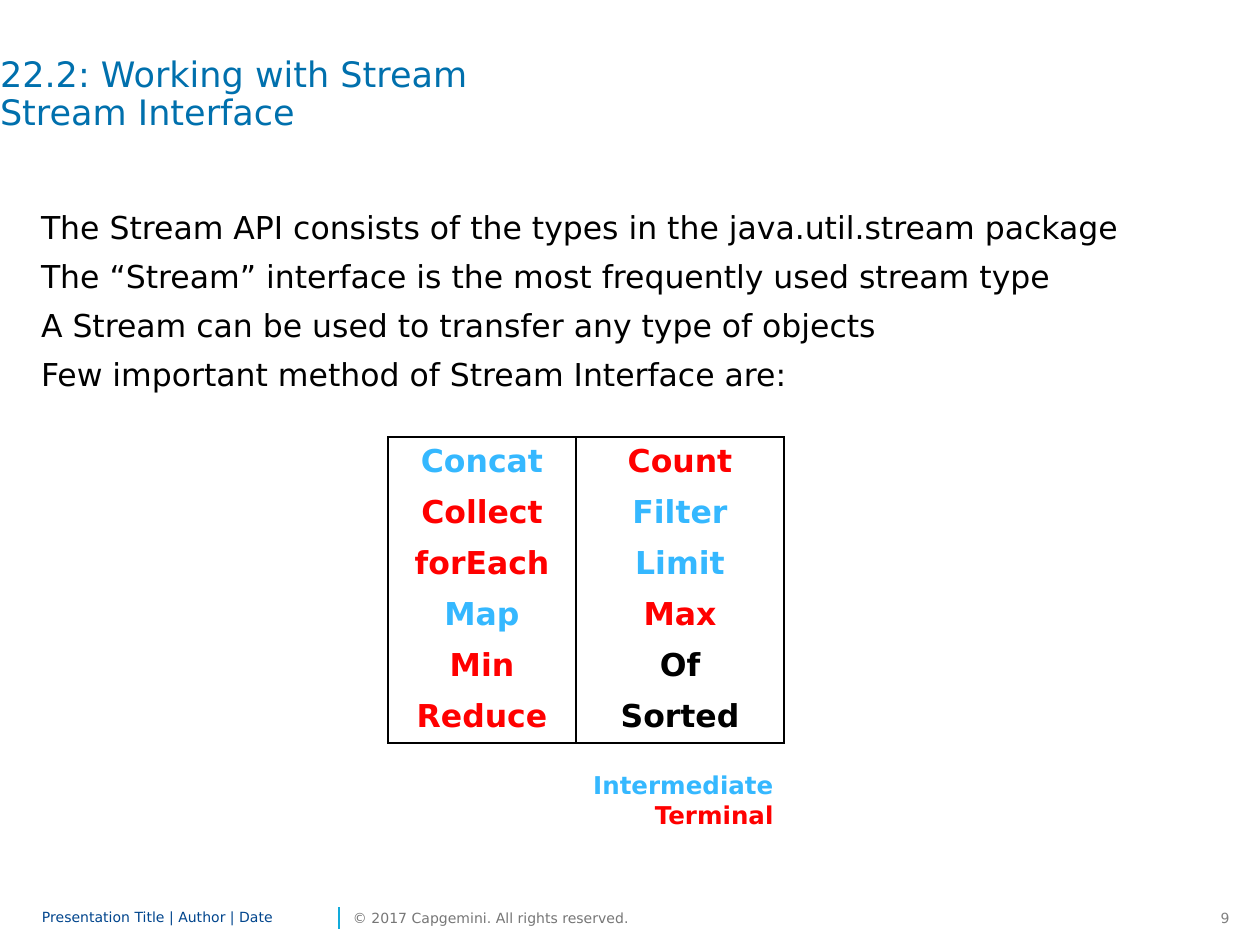
from lxml.etree import SubElement
from pptx import Presentation
from pptx.dml.color import RGBColor
from pptx.enum.shapes import MSO_CONNECTOR
from pptx.enum.text import MSO_ANCHOR, MSO_AUTO_SIZE, PP_ALIGN
from pptx.oxml.ns import qn
from pptx.util import Emu, Pt

EMU_PER_PX = 914400 / 126
FONT = "DejaVu Sans"
COLORS = {
    "title": "0070AD",
    "body": "000000",
    "intermediate": "35B8FF",
    "terminal": "FF0000",
    "footer": "00458D",
    "copyright": "767676",
    "number": "808080",
    "divider": "12ABDB",
}
BODY = [
    "The Stream API consists of the types in the java.util.stream package",
    "The “Stream” interface is the most frequently used stream type",
    "A Stream can be used to transfer any type of objects",
    "Few important method of Stream Interface are:",
]
METHODS = [
    [("Concat", "intermediate"), ("Count", "terminal")],
    [("Collect", "terminal"), ("Filter", "intermediate")],
    [("forEach", "terminal"), ("Limit", "intermediate")],
    [("Map", "intermediate"), ("Max", "terminal")],
    [("Min", "terminal"), ("Of", "body")],
    [("Reduce", "terminal"), ("Sorted", "body")],
]
LEGEND = [("Intermediate", "intermediate"), ("Terminal", "terminal")]


def px(value):
    return Emu(round(value * EMU_PER_PX))


def rgb(color):
    return RGBColor.from_string(COLORS[color])


class SlideBuilder:
    def __init__(self, slide):
        self.slide = slide

    def fill_paragraph(self, paragraph, text, size, color, bold=False,
                       align=PP_ALIGN.LEFT):
        paragraph.text = text
        paragraph.alignment = align
        for run in paragraph.runs:
            run.font.name = FONT
            run.font.size = Pt(size)
            run.font.bold = bold
            run.font.color.rgb = rgb(color)

    def text(self, left, top, width, height, lines, size, bold=False,
             align=PP_ALIGN.LEFT, anchor=MSO_ANCHOR.TOP, wrap=True, inset=False,
             grow=False, line_spacing=None, space_after=None):
        """Add a text box with one paragraph per (text, color) pair."""
        box = self.slide.shapes.add_textbox(px(left), px(top), px(width), px(height))
        frame = box.text_frame
        frame.word_wrap = wrap
        frame.vertical_anchor = anchor
        frame.auto_size = MSO_AUTO_SIZE.SHAPE_TO_FIT_TEXT if grow else MSO_AUTO_SIZE.NONE
        if not inset:
            frame.margin_left = frame.margin_right = 0
            frame.margin_top = frame.margin_bottom = 0
        for index, (text, color) in enumerate(lines):
            paragraph = frame.add_paragraph() if index else frame.paragraphs[0]
            self.fill_paragraph(paragraph, text, size, color, bold, align)
            paragraph.line_spacing = line_spacing
            paragraph.space_after = space_after

    def line(self, x1, y1, x2, y2, color, width=1):
        connector = self.slide.shapes.add_connector(
            MSO_CONNECTOR.STRAIGHT, px(x1), px(y1), px(x2), px(y2))
        connector.line.color.rgb = rgb(color)
        connector.line.width = Pt(width)
        SubElement(connector._element.spPr, qn("a:effectLst"))

    def border(self, cell, side, visible):
        """Draw or hide one side (L, R, T or B) of a cell."""
        line = SubElement(cell._tc.get_or_add_tcPr(), qn(f"a:ln{side}"), w=str(Pt(1)))
        if visible:
            fill = SubElement(line, qn("a:solidFill"))
            SubElement(fill, qn("a:srgbClr"), val=COLORS["body"])
        else:
            SubElement(line, qn("a:noFill"))

    def table(self, left, top, column_widths, row_height, rows, size):
        """Add a table with column rules and an outer frame, but no row rules."""
        frame = self.slide.shapes.add_table(
            len(rows), len(column_widths), px(left), px(top),
            px(sum(column_widths)), px(row_height * len(rows)))
        table = frame.table
        table.first_row = table.horz_banding = False
        for column, width in zip(table.columns, column_widths):
            column.width = px(width)
        for row_index, row in enumerate(rows):
            table.rows[row_index].height = px(row_height)
            for column_index, (text, color) in enumerate(row):
                cell = table.cell(row_index, column_index)
                self.fill_paragraph(cell.text_frame.paragraphs[0], text, size, color,
                                    True, PP_ALIGN.CENTER)
                self.border(cell, "L", True)
                self.border(cell, "R", True)
                self.border(cell, "T", row_index == 0)
                self.border(cell, "B", row_index == len(rows) - 1)
                cell.fill.background()


def main():
    presentation = Presentation()
    presentation.slide_width, presentation.slide_height = px(1260), px(945)
    slide = presentation.slides.add_slide(presentation.slide_layouts[6])
    builder = SlideBuilder(slide)

    builder.text(1193, 903, 49, 30, [("9", "number")], 8, align=PP_ALIGN.RIGHT,
                 wrap=False, inset=True, grow=True)
    builder.line(339, 929, 339, 907, "divider")
    builder.text(42, 903, 292, 30, [("Presentation Title | Author | Date", "footer")], 8,
                 anchor=MSO_ANCHOR.MIDDLE, line_spacing=0.85)
    builder.text(353, 903, 229, 30,
                 [("© 2017 Capgemini. All rights reserved.", "copyright")], 8,
                 anchor=MSO_ANCHOR.MIDDLE, wrap=False)

    builder.text(0, 57, 1176, 118,
                 [("22.2: Working with Stream\nStream Interface", "title")], 20,
                 line_spacing=0.9)
    builder.text(41, 207, 1219, 640, [(text, "body") for text in BODY], 18,
                 line_spacing=Pt(22), space_after=Pt(6))
    builder.table(388, 437, [188, 208], 51, METHODS, 18)
    builder.text(577, 764, 209, 72, LEGEND, 14, bold=True, align=PP_ALIGN.RIGHT,
                 wrap=False, inset=True, grow=True)

    presentation.save("out.pptx")


if __name__ == "__main__":
    main()
